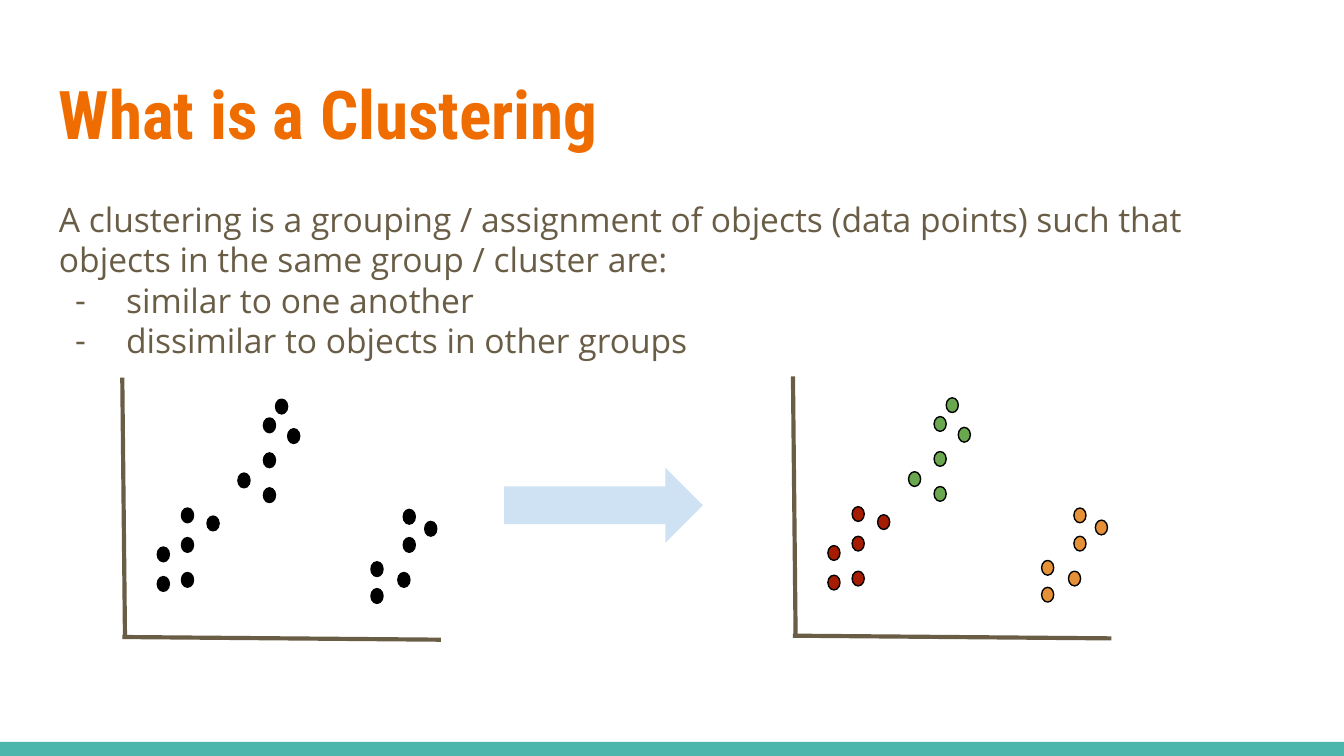
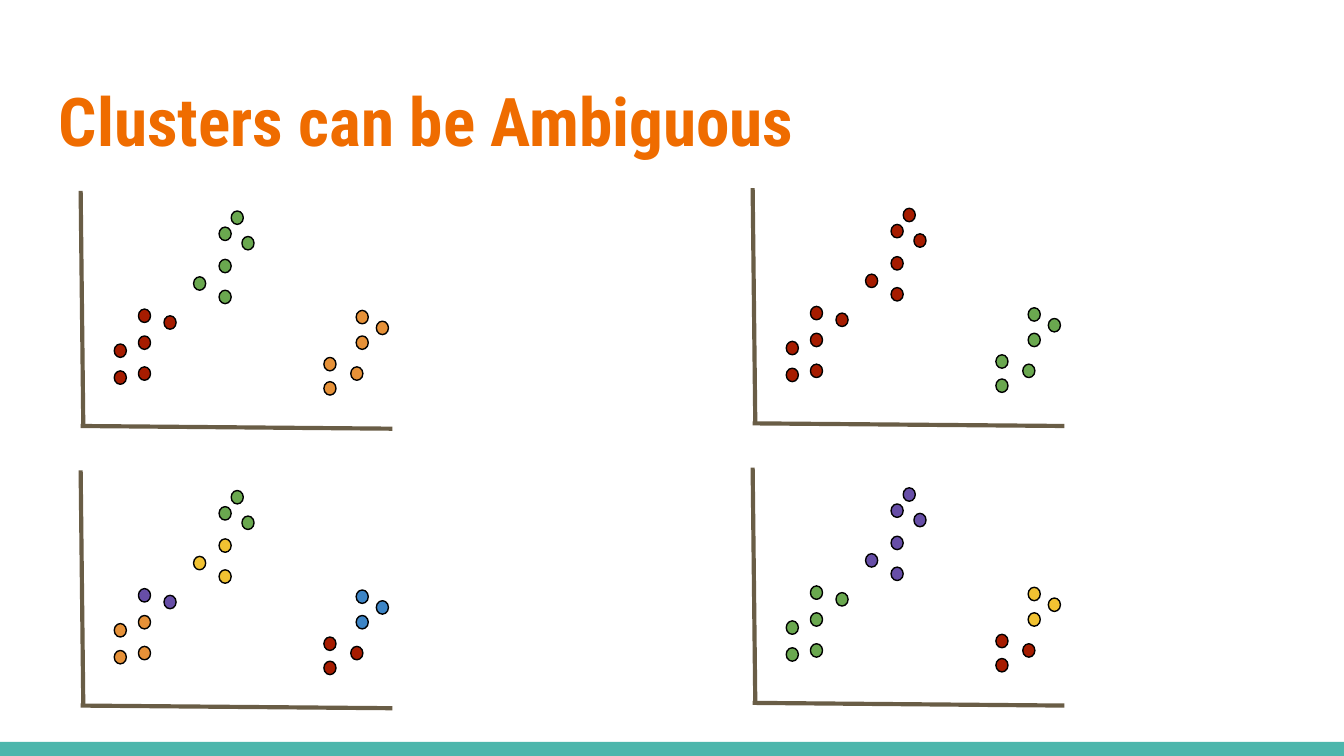
from lxml import etree
from pptx import Presentation
from pptx.dml.color import RGBColor
from pptx.enum import shapes, text
from pptx.oxml import ns
from pptx import util as u

PX = 9144  # 100 px to the inch
PAGE_WIDTH = 1000
BAND_TOP, BAND_HEIGHT = 552, 11
MARGIN = 34
TEXT_WIDTH = PAGE_WIDTH - 2 * MARGIN

BLACK = RGBColor(0x00, 0x00, 0x00)
WHITE = RGBColor(0xFF, 0xFF, 0xFF)
TEAL = RGBColor(0x4D, 0xB6, 0xAC)
TITLE_ORANGE = RGBColor(0xEF, 0x6C, 0x00)
BROWN = RGBColor(0x69, 0x5D, 0x46)
PALE_BLUE = RGBColor(0xCF, 0xE2, 0xF3)
RED = RGBColor(0xA6, 0x1C, 0x00)
GREEN = RGBColor(0x6A, 0xA8, 0x4F)
ORANGE = RGBColor(0xE6, 0x91, 0x38)
PURPLE = RGBColor(0x67, 0x4E, 0xA7)
YELLOW = RGBColor(0xF1, 0xC2, 0x32)
BLUE = RGBColor(0x3D, 0x85, 0xC6)

TITLE_FONT = "Roboto Condensed"
BODY_FONT = "Open Sans"

# Data points, measured from the top of the vertical axis on a full-size plot.
PLOT_WIDTH, PLOT_HEIGHT = 237, 193
AXIS_SLANT = 2
POINT_GROUPS = [
    [(44, 119), (26, 126), (44, 145), (26, 148)],   # left, lower
    [(44, 97), (63, 103)],                          # left, upper
    [(105, 56), (86, 71), (105, 82)],               # middle, lower
    [(105, 30), (123, 38), (114, 16)],              # middle, upper
    [(185, 137), (205, 145), (185, 157)],           # right, lower
    [(209, 119), (225, 107), (209, 98)],            # right, upper
]
NO_CLUSTERS = [BLACK] * 6
THREE_CLUSTERS = [RED, RED, GREEN, GREEN, ORANGE, ORANGE]
TWO_CLUSTERS = [RED, RED, RED, RED, GREEN, GREEN]
SIX_CLUSTERS = [ORANGE, PURPLE, YELLOW, GREEN, RED, BLUE]
FOUR_CLUSTERS = [GREEN, GREEN, PURPLE, PURPLE, RED, YELLOW]


def emu(*lengths):
    return [length * PX for length in lengths]


def add_filled(page, kind, left, top, width, height, colour, outline=None):
    shape = page.shapes.add_shape(kind, *emu(left, top, width, height))
    shape.shadow.inherit = False
    shape.fill.solid()
    shape.fill.fore_color.rgb = colour
    if outline is None:
        shape.line.fill.background()
    else:
        shape.line.color.rgb = outline
        shape.line.width = u.Pt(0.75)


def add_text(page, top, height, lines, font, size, colour, bold=False):
    box = page.shapes.add_textbox(*emu(MARGIN, top, TEXT_WIDTH, height))
    frame = box.text_frame
    frame.word_wrap = True
    frame.vertical_anchor = text.MSO_ANCHOR.TOP
    frame.margin_left, frame.margin_top, frame.margin_right, frame.margin_bottom = emu(10, 10, 10, 10)
    frame.text = "\n".join(lines)
    for para in frame.paragraphs:
        for span in para.runs:
            span.font.name = font
            span.font.size = u.Pt(size)
            span.font.bold = bold
            span.font.color.rgb = colour
    return frame


def add_dash(para):
    """Give the paragraph a hanging dash as its bullet."""
    properties = para._p.get_or_add_pPr()
    properties.set("marL", str(50 * PX))
    properties.set("indent", str(-38 * PX))
    colour = etree.SubElement(properties, ns.qn("a:buClr"))
    etree.SubElement(colour, ns.qn("a:srgbClr"), val=str(BROWN))
    etree.SubElement(properties, ns.qn("a:buFont"), typeface=BODY_FONT)
    etree.SubElement(properties, ns.qn("a:buChar"), char="-")


def add_axis(page, *ends):
    axis = page.shapes.add_connector(shapes.MSO_CONNECTOR.STRAIGHT, *emu(*ends))
    axis.line.color.rgb = BROWN
    axis.line.width = u.Pt(2.25)
    etree.SubElement(axis._element.spPr, ns.qn("a:effectLst"))


def add_plot(page, left, top, colours, width=PLOT_WIDTH, height=PLOT_HEIGHT, dot_height=11):
    """Draw the scatter plot with one colour for each group of points."""
    for points, colour in zip(POINT_GROUPS, colours):
        for x, y in points:
            add_filled(page, shapes.MSO_SHAPE.OVAL,
                       left + round(x * width / PLOT_WIDTH),
                       top + round(y * height / PLOT_HEIGHT),
                       9, dot_height, colour, BLACK)
    bottom = top + height
    add_axis(page, left, top, left + AXIS_SLANT, bottom)
    add_axis(page, left, bottom, left + width, bottom + AXIS_SLANT)


def add_page(deck, title, title_top):
    page = deck.slides.add_slide(deck.slide_layouts[6])
    page.background.fill.solid()
    page.background.fill.fore_color.rgb = WHITE
    add_filled(page, shapes.MSO_SHAPE.RECTANGLE, 0, BAND_TOP, PAGE_WIDTH, BAND_HEIGHT, TEAL)
    add_text(page, title_top, 77, [title], TITLE_FONT, 36, TITLE_ORANGE, bold=True)
    return page


def build_definition(deck):
    page = add_page(deck, "What is a Clustering", 44)
    frame = add_text(page, 138, 142, [
        "A clustering is a grouping / assignment of objects (data points) such that "
        "objects in the same group / cluster are:",
        "similar to one another",
        "dissimilar to objects in other groups",
    ], BODY_FONT, 18, BROWN)
    for para in frame.paragraphs[1:]:
        add_dash(para)
    add_plot(page, 91, 281, NO_CLUSTERS)
    add_filled(page, shapes.MSO_SHAPE.RIGHT_ARROW, 375, 348, 148, 56, PALE_BLUE)
    add_plot(page, 590, 280, THREE_CLUSTERS)


def build_ambiguity(deck):
    page = add_page(deck, "Clusters can be Ambiguous", 49)
    columns = [(60, 142, [THREE_CLUSTERS, SIX_CLUSTERS]),
               (560, 140, [TWO_CLUSTERS, FOUR_CLUSTERS])]
    for left, top, clusterings in columns:
        for row, colours in enumerate(clusterings):
            add_plot(page, left, top + 208 * row, colours, width=232, height=175, dot_height=10)


def main():
    deck = Presentation()
    deck.slide_width = PAGE_WIDTH * PX
    deck.slide_height = deck.slide_width * 9 // 16
    build_definition(deck)
    build_ambiguity(deck)
    deck.save("out.pptx")


if __name__ == "__main__":
    main()
